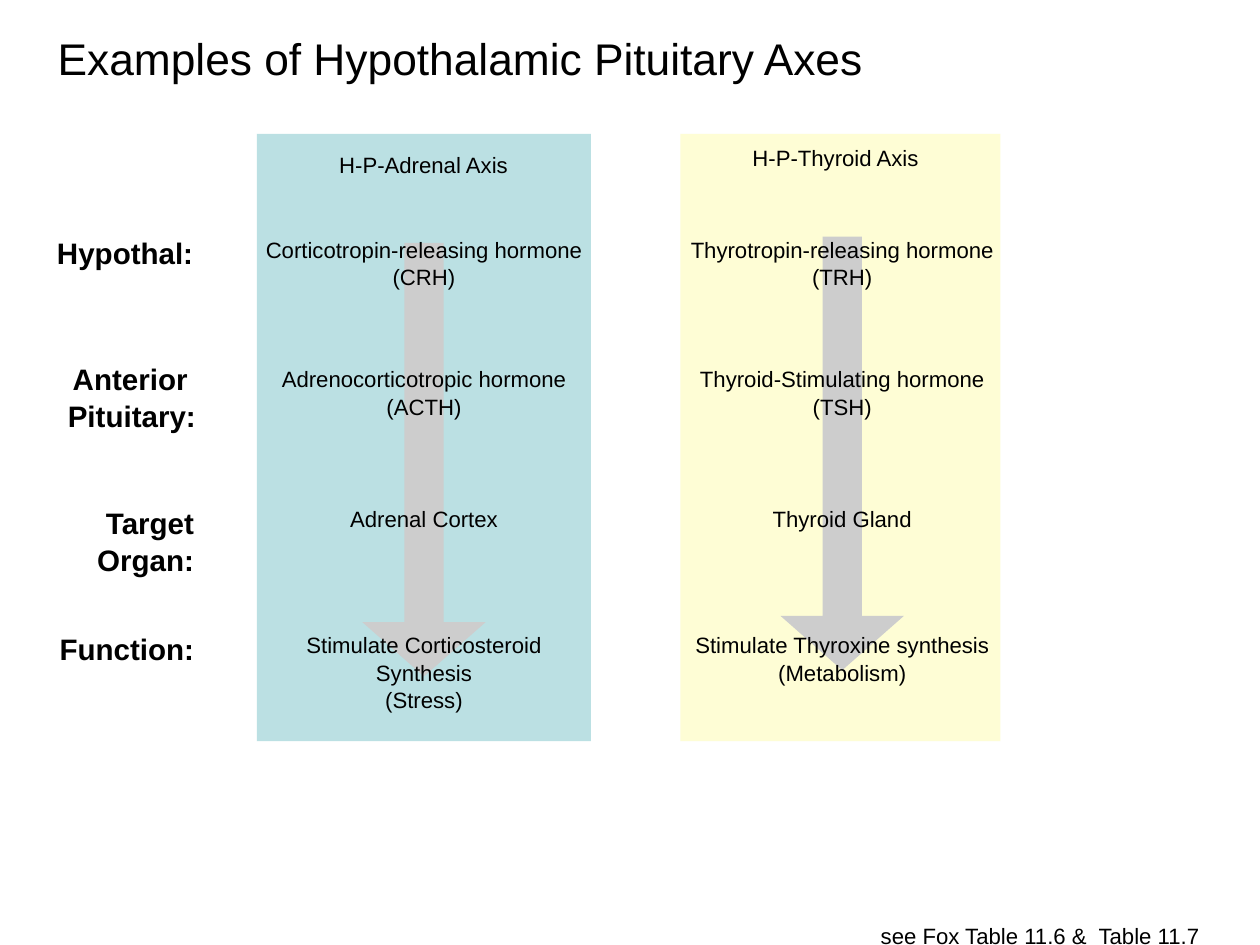
from pptx import Presentation
from pptx.dml.color import RGBColor
from pptx.enum import shapes, text
from pptx.util import Inches, Pt

COLOURS = {"ink": "000000", "adrenal": "BBE0E3", "thyroid": "FEFDD5", "arrow": "CDCDCD"}
LEFT, CENTRE, RIGHT = text.PP_ALIGN.LEFT, text.PP_ALIGN.CENTER, text.PP_ALIGN.RIGHT


def write(frame, lines, size, align, bold=False):
    """Fill a text frame with one paragraph per line."""
    frame.margin_left = frame.margin_right = Inches(0.06)
    frame.margin_top = frame.margin_bottom = 0
    frame.vertical_anchor = text.MSO_ANCHOR.TOP
    frame.auto_size = text.MSO_AUTO_SIZE.NONE
    frame.word_wrap = True
    for index, line in enumerate(lines):
        paragraph = frame.add_paragraph() if index else frame.paragraphs[0]
        paragraph.alignment = align
        paragraph.line_spacing = 1.04
        run = paragraph.add_run()
        run.text = line
        run.font.name = "Arial"
        run.font.size = Pt(size)
        run.font.bold = bold
        run.font.color.rgb = RGBColor.from_string(COLOURS["ink"])


def add_block(parent, kind, box, colour):
    """Add a plain filled shape without outline or shadow."""
    block = parent.add_shape(kind, *map(Inches, box))
    block.shadow.inherit = False
    block.fill.solid()
    block.fill.fore_color.rgb = RGBColor.from_string(COLOURS[colour])
    block.line.fill.background()
    return block


deck = Presentation()
deck.slide_width, deck.slide_height = Inches(14.22), Inches(10.66)
slide = deck.slides.add_slide(deck.slide_layouts[5])

title = slide.shapes.title
title.left, title.top = Inches(0.59), Inches(0.33)
title.width, title.height = Inches(10.71), Inches(0.68)
write(title.text_frame, ["Examples of Hypothalamic Pituitary Axes"], 36, LEFT)

# Row labels: right edge, top, lines
levels = [
    (2.24, 2.64, ["Hypothal:"]),
    (2.27, 4.06, ["Anterior ", "Pituitary:"]),
    (2.25, 5.68, ["Target", "Organ:"]),
    (2.25, 7.1, ["Function:"]),
]
level_group = slide.shapes.add_group_shape()
for right, top, lines in levels:
    label = level_group.shapes.add_textbox(
        Inches(right - 2), Inches(top), Inches(2), Inches(0.4 * len(lines)))
    write(label.text_frame, lines, 24, RIGHT, bold=True)

# Axes: colour, panel left and width, arrow top, heading centre and top, heading, steps
axes = [
    ("adrenal", 2.9, 3.77, 2.74, 4.78, 1.69, "H-P-Adrenal Axis", [
        ["Corticotropin-releasing hormone", "(CRH)"],
        ["Adrenocorticotropic hormone", "(ACTH)"],
        ["Adrenal Cortex"],
        ["Stimulate Corticosteroid", "Synthesis", "(Stress)"],
    ]),
    ("thyroid", 7.68, 3.61, 2.67, 9.43, 1.62, "H-P-Thyroid Axis", [
        ["Thyrotropin-releasing hormone", "(TRH)"],
        ["Thyroid-Stimulating hormone", "(TSH)"],
        ["Thyroid Gland"],
        ["Stimulate Thyroxine synthesis", "(Metabolism)"],
    ]),
]
STEP_TOPS = [2.65, 4.11, 5.69, 7.11]
STEP_WIDTH = 3.7
ARROW_LENGTH, ARROW_SPAN = 4.89, 1.39

for colour, left, width, arrow_top, heading_centre, heading_top, heading, steps in axes:
    axis = slide.shapes.add_group_shape().shapes
    add_block(axis, shapes.MSO_SHAPE.RECTANGLE, (left, 1.51, width, 6.85), colour)

    centre = left + width / 2 + (0.02 if colour == "thyroid" else 0)
    arrow_box = (centre - ARROW_LENGTH / 2,
                 arrow_top + (ARROW_LENGTH - ARROW_SPAN) / 2,
                 ARROW_LENGTH, ARROW_SPAN)
    arrow = add_block(axis, shapes.MSO_SHAPE.RIGHT_ARROW, arrow_box, "arrow")
    arrow.rotation = 90
    arrow.adjustments[0], arrow.adjustments[1] = 0.32, 0.44

    entries = [(heading_centre, heading_top, [heading])]
    entries += [(centre, top, lines) for top, lines in zip(STEP_TOPS, steps)]
    for middle, top, lines in entries:
        entry = axis.add_textbox(Inches(middle - STEP_WIDTH / 2), Inches(top),
                                 Inches(STEP_WIDTH), Inches(0.3 * len(lines)))
        write(entry.text_frame, lines, 18, CENTRE)

reference = slide.shapes.add_textbox(Inches(9.88), Inches(10.39), Inches(4), Inches(0.39))
write(reference.text_frame, ["see Fox Table 11.6 &  Table 11.7"], 18, LEFT)

deck.save("out.pptx")
